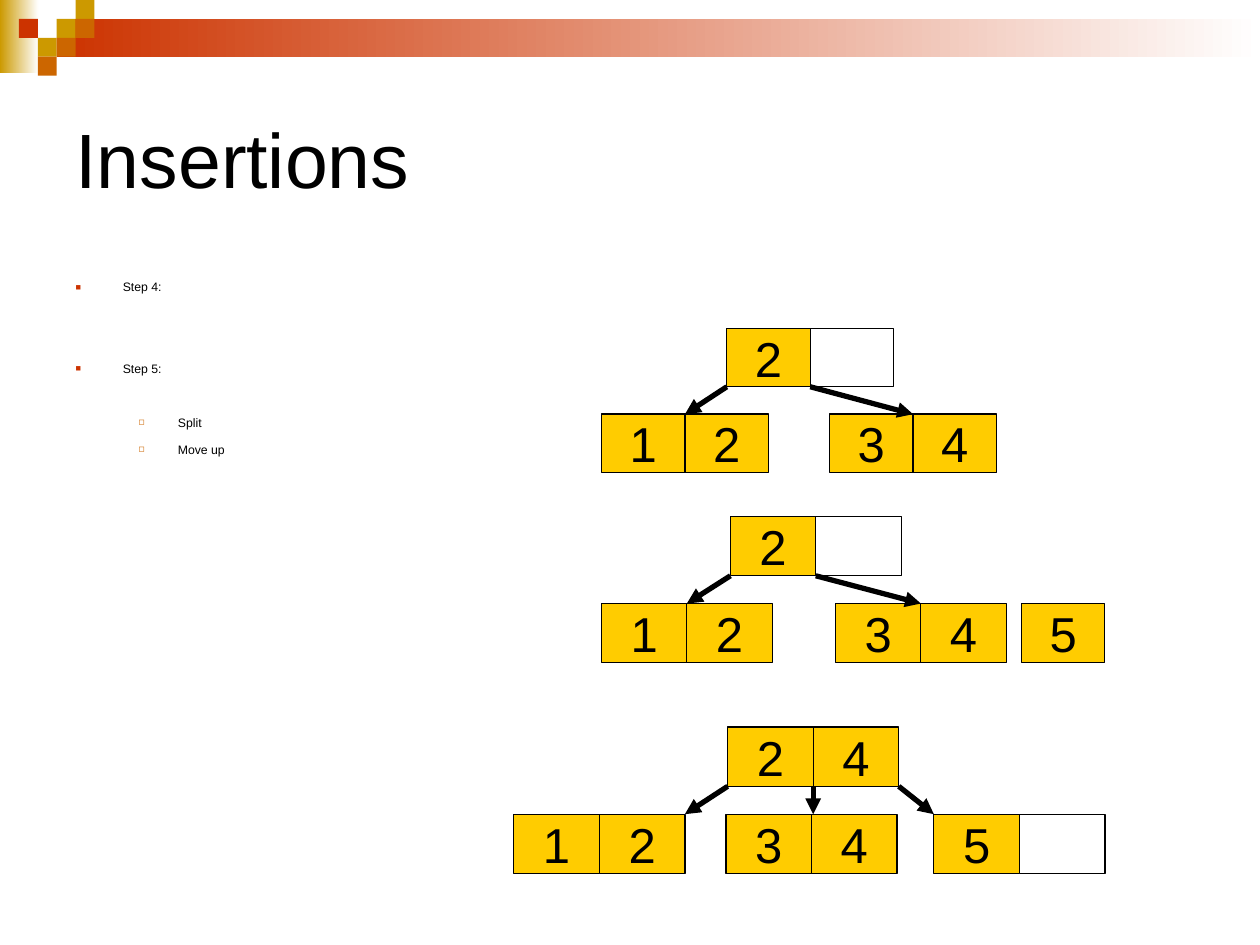
from dataclasses import dataclass

from lxml import etree
from pptx import Presentation
from pptx.dml.color import RGBColor
from pptx.enum.shapes import MSO_CONNECTOR, MSO_SHAPE
from pptx.enum.text import MSO_ANCHOR, MSO_AUTO_SIZE, PP_ALIGN
from pptx.oxml.ns import qn
from pptx.util import Pt

RECT = MSO_SHAPE.RECTANGLE
STRAIGHT = MSO_CONNECTOR.STRAIGHT
LEFT, CENTER = PP_ALIGN.LEFT, PP_ALIGN.CENTER
MIDDLE, TOP = MSO_ANCHOR.MIDDLE, MSO_ANCHOR.TOP
NO_FIT = MSO_AUTO_SIZE.NONE


@dataclass(frozen=True)
class Theme:
    """Colours, font and type sizes of the deck."""
    ink: str = "000000"
    paper: str = "FFFFFF"
    key: str = "FFCC00"
    red: str = "CC3300"
    gold: str = "CC9900"
    orange: str = "CC6600"
    font: str = "Arial"
    title: int = 44
    body: int = 7
    cell: int = 28


T = Theme()
SQUARES = [(3, 1, T.gold), (4, 0, T.gold), (4, 1, T.orange), (2, 2, T.gold),
           (1, 1, T.red), (3, 2, T.orange), (2, 3, T.orange)]
STEPS = [("Step 4:", 0, 7), ("Step 5:", 0, 38), ("Split", 1, 22.5), ("Move up", 1, 7)]
BULLETS = [("■", T.red, 75, 27, -27), ("◻", T.orange, 80, 58.5, -22.5)]
TWO_LINKS = [(0, 0, 1), (1, 1, 1)]
THREE_LINKS = [(0, 0, 2), (1, 1, 1.02), (2, 2, 0)]
TREES = [
    ((343.7, 187.7, 225.8, 82.3), (1.5, "2 "), [(0, "12"), (2.73, "34")], TWO_LINKS),
    ((343.7, 295.2, 231.3, 83.5), (1.51, "2 "), [(0, "12"), (2.74, "34")], TWO_LINKS),
    ((293.6, 415.4, 337.8, 83.8), (2.5, "24"),
     [(0, "12"), (2.48, "34"), (4.91, "5 ")], THREE_LINKS),
]


def style(p, size):
    """Format the runs of a paragraph."""
    for r in p.runs:
        r.font.name, r.font.size = T.font, Pt(size)
        r.font.color.rgb = RGBColor.from_string(T.ink)


def place(sp, box):
    """Move a shape to a box."""
    sp.left, sp.top, sp.width, sp.height = map(Pt, box)


def add_rect(s, box, color, fade=False):
    """Add a borderless rectangle, solid or fading to paper."""
    sp = s.shapes.add_shape(RECT, *map(Pt, box))
    sp.shadow.inherit = False
    sp.line.fill.background()
    if fade:
        sp.fill.gradient()
        sp.fill.gradient_angle = 0
        for stop, c in zip(sp.fill.gradient_stops, (color, T.paper)):
            stop.color.rgb = RGBColor.from_string(c)
    else:
        sp.fill.solid()
        sp.fill.fore_color.rgb = RGBColor.from_string(color)
    return sp


def add_banner(s, box, unit):
    """Draw the fading bars and the checkered corner."""
    x, y, w, h = box
    add_rect(s, (x, y, 22, h), T.gold, fade=True)
    add_rect(s, (x + 3 * unit, y + unit, w - 3 * unit, 2 * unit), T.red, fade=True)
    for col, row, color in SQUARES:
        add_rect(s, (x + col * unit, y + row * unit, unit, unit), color)


def add_title(s, box, text):
    """Fill the title placeholder."""
    sp = s.shapes.title
    place(sp, box)
    tf = sp.text_frame
    tf.text = text
    tf.auto_size, tf.vertical_anchor = NO_FIT, MIDDLE
    tf.paragraphs[0].alignment = LEFT
    style(tf.paragraphs[0], T.title)


def add_bullet(p, level):
    """Give a paragraph the bullet and indent of its level."""
    char, color, size, margin, indent = BULLETS[level]
    pPr = p._p.get_or_add_pPr()
    pPr.set("marL", str(Pt(margin)))
    pPr.set("indent", str(Pt(indent)))
    clr = etree.SubElement(pPr, qn("a:buClr"))
    etree.SubElement(clr, qn("a:srgbClr"), val=color)
    etree.SubElement(pPr, qn("a:buSzPct"), val=str(size * 1000))
    etree.SubElement(pPr, qn("a:buFont"), typeface=T.font)
    etree.SubElement(pPr, qn("a:buChar"), char=char)


def add_steps(s, box, steps):
    """Fill the body placeholder with the bulleted steps."""
    sp = s.placeholders[1]
    place(sp, box)
    tf = sp.text_frame
    tf.auto_size, tf.vertical_anchor = NO_FIT, TOP
    for i, (text, level, gap) in enumerate(steps):
        p = tf.add_paragraph() if i else tf.paragraphs[0]
        p.text, p.level, p.space_before = text, level, Pt(gap)
        add_bullet(p, level)
        style(p, T.body)


def add_cell(s, box, key):
    """Draw one key cell, white when empty."""
    key = key.strip()
    sp = add_rect(s, box, T.key if key else T.paper)
    sp.line.color.rgb = RGBColor.from_string(T.ink)
    sp.line.width = Pt(0.75)
    if key:
        tf = sp.text_frame
        tf.text = key
        tf.word_wrap, tf.vertical_anchor = False, MIDDLE
        tf.paragraphs[0].alignment = CENTER
        style(tf.paragraphs[0], T.cell)


def add_arrow(s, start, end):
    """Draw an arrow between two points."""
    c = s.shapes.add_connector(STRAIGHT, *map(Pt, (*start, *end)))
    c.line.color.rgb = RGBColor.from_string(T.ink)
    c.line.width = Pt(3)
    etree.SubElement(c.line._get_or_add_ln(), qn("a:tailEnd"), type="triangle")
    etree.SubElement(c._element.spPr, qn("a:effectLst"))


def add_tree(s, box, root, children, links):
    """Draw a two-level tree; offsets count in cells from the left."""
    x, y, w, h = box
    cw, ch = w / (children[-1][0] + 2), h * 0.405
    low = y + h - ch
    for top, (offset, keys) in [(y, root)] + [(low, child) for child in children]:
        for i, key in enumerate(keys):
            add_cell(s, (x + (offset + i) * cw, top, cw, ch), key)
    for edge, child, corner in links:
        add_arrow(s, (x + (root[0] + edge) * cw, y + ch),
                  (x + (children[child][0] + corner) * cw, low))


def main():
    """Build the slide."""
    prs = Presentation()
    prs.slide_width, prs.slide_height = Pt(720), Pt(540)
    s = prs.slides.add_slide(prs.slide_layouts[1])
    add_banner(s, (0, 0, 720, 41.8), 10.8)
    add_title(s, (36, 36, 648, 108), "Insertions")
    add_steps(s, (36, 156.2, 648, 113.8), STEPS)
    for tree in TREES:
        add_tree(s, *tree)
    add_cell(s, (583.7, 344.9, 47.6, 33.8), "5")
    prs.save("out.pptx")


if __name__ == "__main__":
    main()
